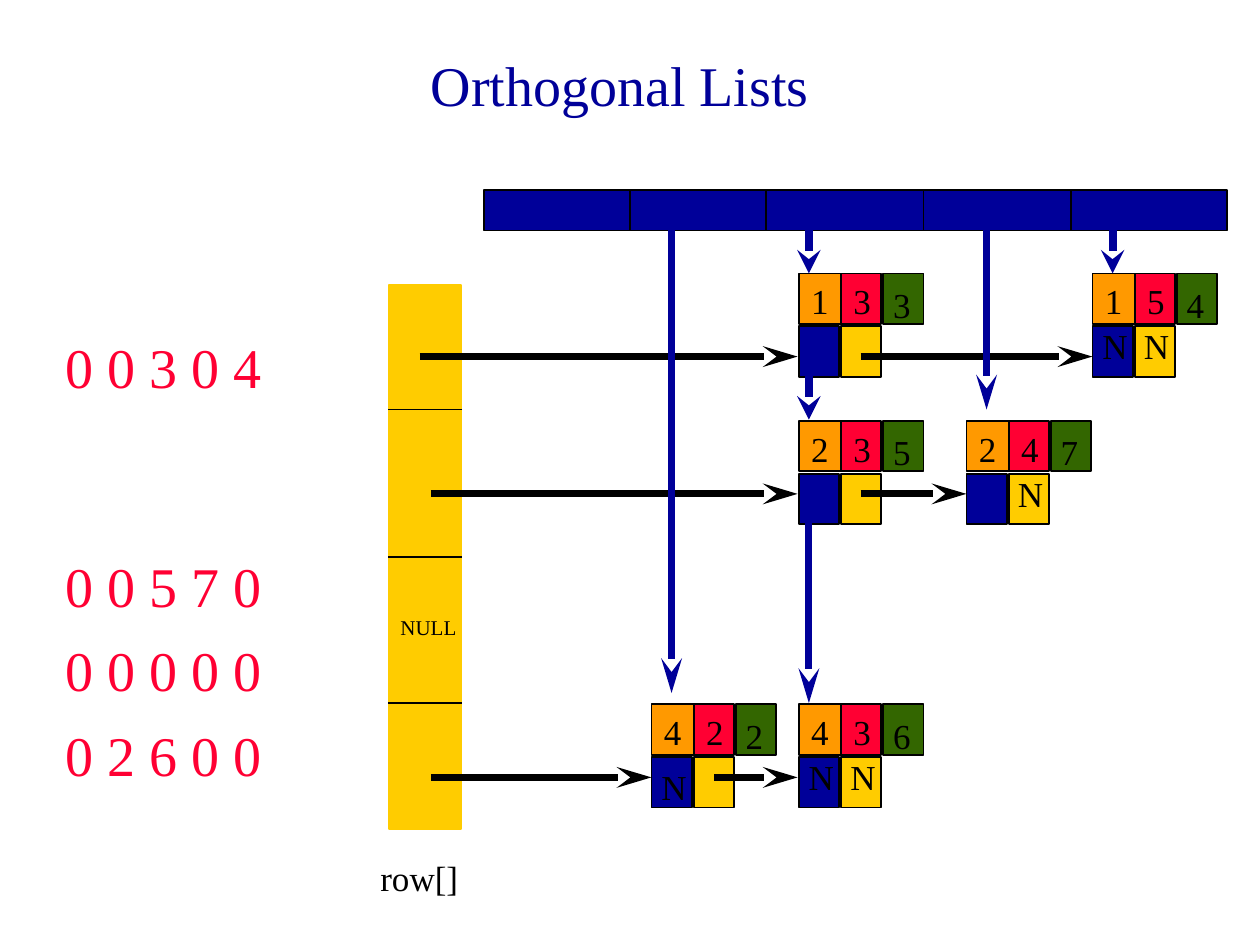
from lxml import etree
from pptx import Presentation
from pptx.dml.color import RGBColor
from pptx.enum.shapes import MSO_CONNECTOR, MSO_SHAPE
from pptx.enum.text import MSO_ANCHOR, PP_ALIGN
from pptx.oxml.ns import qn
from pptx.util import Inches, Pt

BLACK, NAVY, RED = "000000", "000099", "FF0033"
YELLOW, ORANGE, GREEN = "FFCC00", "FF9900", "336600"

deck = Presentation()
deck.slide_width, deck.slide_height = Inches(10), Inches(7.5)
slide = deck.slides.add_slide(deck.slide_layouts[6])
shapes = slide.shapes


def color(value):
    return RGBColor.from_string(value)


def add(kind, *place, text="", fill=None, border=BLACK, size=20, ink=BLACK, head=None):
    """Draw a "box" or "text" at left, top, width, height, or a "line" between two points.

    For a line, size is its width in points and head the length of its arrowhead.
    """
    place = [Inches(v) for v in place]
    if kind == "line":
        line = shapes.add_connector(MSO_CONNECTOR.STRAIGHT, *place)
        line.line.color.rgb = color(ink)
        line.line.width = Pt(size)
        if head:
            etree.SubElement(line.line._get_or_add_ln(), qn("a:tailEnd"),
                             type="stealth", w="med", len=head)
        etree.SubElement(line._element.spPr, qn("a:effectLst"))
        return line
    if kind == "box":
        box = shapes.add_shape(MSO_SHAPE.RECTANGLE, *place)
        box.shadow.inherit = False
        box.fill.solid()
        box.fill.fore_color.rgb = color(fill)
        box.line.color.rgb = color(border)
        box.line.width = Pt(1)
        return box
    label = shapes.add_textbox(*place)
    frame = label.text_frame
    frame.word_wrap = True
    frame.text = text
    for paragraph in frame.paragraphs:
        paragraph.font.name = "Times New Roman"
        paragraph.font.size = Pt(size)
        paragraph.font.color.rgb = color(ink)
    return label


title = add("text", 0.67, 0, 8.5, 1.33, text="Orthogonal Lists", size=32, ink=NAVY)
title.text_frame.vertical_anchor = MSO_ANCHOR.MIDDLE
title.text_frame.paragraphs[0].alignment = PP_ALIGN.CENTER

# Matrix: its first row stands apart, level with the first linked row
matrix = add("text", 0.42, 1.25, 1.92, 4.75, size=32, ink=RED,
             text="0 0 3 0 4\n0 0 5 7 0\n0 0 0 0 0\n0 2 6 0 0").text_frame
matrix.margin_top = Inches(1.39)
for matrix_row, gap in zip(matrix.paragraphs[1:], (86.6, 9.8, 9.8)):
    matrix_row.space_before = Pt(gap)

# Row array
add("box", 3.09, 2.26, 0.57, 4.32, fill=YELLOW, border=YELLOW)
for y in (3.25, 4.42, 5.58):
    add("line", 3.08, y, 3.67, y, size=1)
for start, end, y in ((3.33, 6.33, 2.83), (3.42, 6.33, 3.92), (3.42, 5.17, 6.17)):
    add("line", start, y, end, y, size=4, head="lg")
add("text", 3.08, 4.83, 0.67, 0.3, text="NULL", size=12)
add("text", 2.92, 6.75, 1.08, 0.43, text="row[]")

# Column array
add("box", 3.84, 1.51, 5.9, 0.32, fill=NAVY)
for x in (5, 6.08, 7.33, 8.5):
    add("line", x, 1.5, x, 1.83, size=1)

# Nodes: row, column and value above, down and right pointers below
STEP, LOWER = 0.335, 0.42
nodes = [
    (6.34, 2.17, "133"),
    (8.67, 2.17, "154"),
    (6.34, 3.34, "235"),
    (7.67, 3.34, "247"),
    (5.17, 5.59, "422"),
    (6.34, 5.59, "436"),
]
for left, top, (row, column, value) in nodes:
    add("box", left, top, 0.49, 0.4, fill=ORANGE)
    add("text", left, top, 0.5, 0.43, text=row)
    add("box", left + STEP, top, 0.32, 0.4, fill=RED)
    add("box", left, top + LOWER, 0.32, 0.4, fill=NAVY)
    add("box", left + STEP, top + LOWER, 0.32, 0.4, fill=YELLOW)
    add("text", left + STEP, top, 0.25, 0.43, text=column)
    add("box", left + 2 * STEP, top, 0.32, 0.4, fill=GREEN)
    add("text", left + 2 * STEP - 0.02, top + 0.03, 0.34, 0.43, text=value)

# Links along the rows
for start, end, y in ((6.83, 8.67, 2.83), (6.83, 7.67, 3.92), (5.67, 6.33, 6.17)):
    add("line", start, y, end, y, size=4, head="lg")

# Links down the columns: the short ones are thicker with a shorter head
for x, start, end in ((5.33, 1.67, 5.5), (6.42, 1.67, 2.17), (6.42, 2.83, 3.33),
                      (6.42, 4, 5.58), (7.83, 1.67, 3.25), (8.83, 1.67, 2.17)):
    width, head = (4.5, "med") if end - start < 1 else (4, "lg")
    add("line", x, start, x, end, size=width, ink=NAVY, head=head)

# Null pointers
for x, y in ((8.65, 2.53), (8.98, 2.53), (7.98, 3.7),
             (6.65, 5.95), (6.32, 5.95), (5.15, 6.03)):
    add("text", x, y, 0.4, 0.43, text="N")

deck.save("out.pptx")
